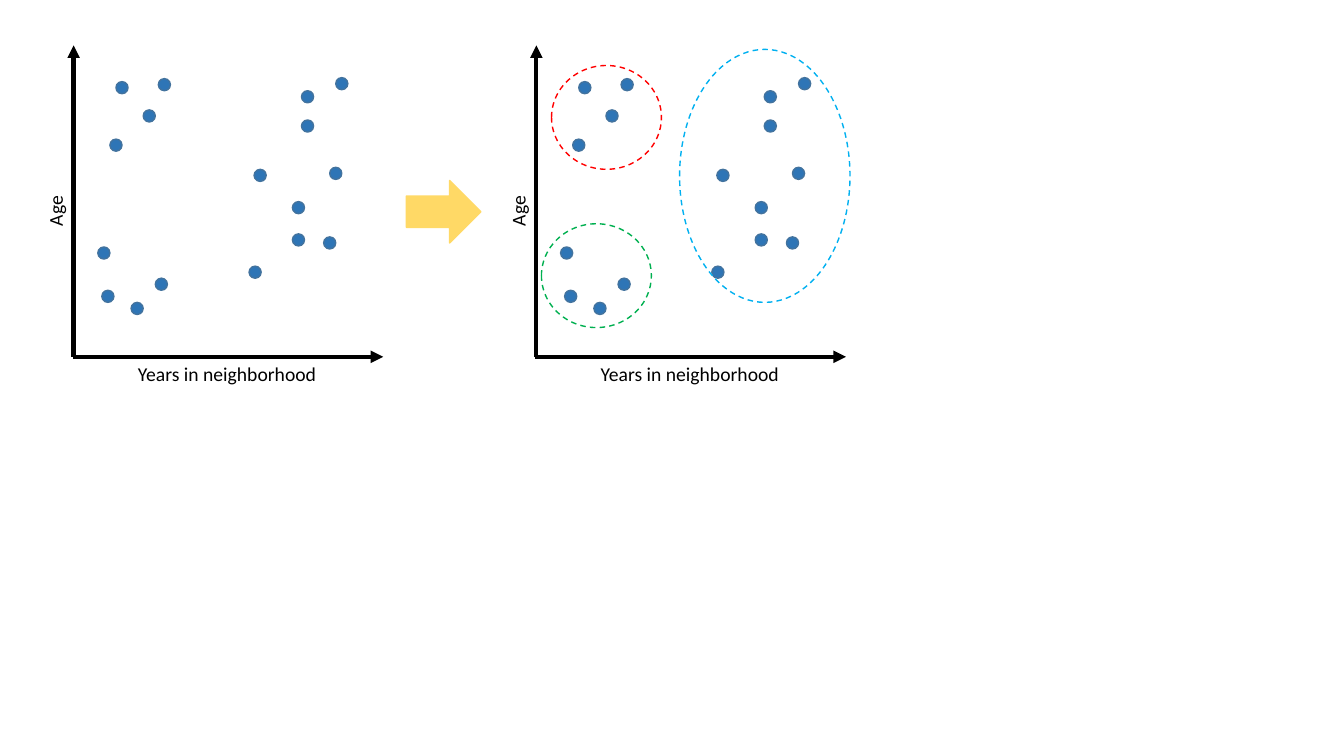
from pptx import Presentation
from pptx.dml.color import RGBColor
from pptx.enum.dml import MSO_LINE
from pptx.enum.shapes import MSO_CONNECTOR, MSO_SHAPE
from pptx.enum.text import MSO_AUTO_SIZE as FIT
from pptx.util import Inches, Pt
from lxml.etree import SubElement
from pptx.oxml.ns import qn

BLACK = RGBColor(0x00, 0x00, 0x00)
BLUE = RGBColor(0x2E, 0x75, 0xB6)
EDGE = RGBColor(0x43, 0x73, 0x9E)
GOLD = RGBColor(0xFF, 0xD9, 0x66)
RED = RGBColor(0xFF, 0x00, 0x00)
GREEN = RGBColor(0x00, 0xB0, 0x50)
SKY = RGBColor(0x00, 0xB0, 0xF0)

DOT = 0.12
WIDE, HIGH = 3.08, 3.09
LEFT, TOP, STEP = 0.72, 0.45, 4.59
FONT = {"name": "Calibri", "size": Pt(14)}
POINTS = [
    (0.43, 0.36), (0.70, 0.64), (0.29, 2.43), (0.58, 2.55), (0.82, 2.31),
    (2.49, 1.90), (1.75, 2.19), (1.80, 1.23), (2.61, 0.32), (2.27, 0.74),
    (2.27, 0.45), (2.55, 1.21), (0.85, 0.33), (2.18, 1.55), (2.18, 1.87),
    (0.37, 0.93), (0.25, 2.00),
]
RINGS = [
    (RED, 0.16, 0.20, 1.09, 1.03),
    (GREEN, 0.06, 1.77, 1.09, 1.03),
    (SKY, 1.43, 0.04, 1.69, 2.51),
]


def add_form(shapes, kind, box, fill, edge):
    form = shapes.add_shape(kind, *map(Inches, box))
    form.shadow.inherit = False
    if fill is None:
        form.fill.background()
    else:
        form.fill.solid()
        form.fill.fore_color.rgb = fill
    form.line.color.rgb = edge
    form.line.width = Pt(1)
    return form


def add_axis(shapes, *ends):
    axis = shapes.add_connector(MSO_CONNECTOR.STRAIGHT, *map(Inches, ends))
    axis.line.color.rgb = BLACK
    axis.line.width = Pt(3)
    SubElement(axis.line._get_or_add_ln(), qn("a:tailEnd"), type="triangle")
    SubElement(axis._element.spPr, qn("a:effectLst"))


def add_label(shapes, text, box, turn=0):
    label = shapes.add_textbox(*map(Inches, box))
    label.rotation = turn
    frame = label.text_frame
    frame.word_wrap = True
    frame.auto_size = FIT.SHAPE_TO_FIT_TEXT
    run = frame.paragraphs[0].add_run()
    run.text = text
    for key, value in FONT.items():
        setattr(run.font, key, value)
    run.font.color.rgb = BLACK


def add_plot(slide, left, top):
    shapes = slide.shapes.add_group_shape().shapes
    base = top + HIGH
    add_axis(shapes, left + 0.01, base, left + 0.01, top)
    add_axis(shapes, left, base, left + WIDE, base)
    add_label(shapes, "Age", (left - 0.52, top + 1.37, 0.7, 0.34), 270)
    add_label(shapes, "Years in neighborhood", (left + 0.55, base, 2, 0.34))
    for x, y in POINTS:
        add_form(shapes, MSO_SHAPE.OVAL, (left + x, top + y, DOT, DOT), BLUE, EDGE)


def add_rings(slide, left, top):
    for color, x, y, width, height in RINGS:
        box = (left + x, top + y, width, height)
        ring = add_form(slide.shapes, MSO_SHAPE.OVAL, box, None, color)
        ring.line.dash_style = MSO_LINE.DASH


def main():
    deck = Presentation()
    deck.slide_width, deck.slide_height = Inches(13.33), Inches(7.5)
    slide = deck.slides.add_slide(deck.slide_layouts[6])
    for start in (LEFT, LEFT + STEP):
        add_plot(slide, start, TOP)
    arrow = (LEFT + 3.31, TOP + 1.34, 0.74, 0.62)
    add_form(slide.shapes, MSO_SHAPE.RIGHT_ARROW, arrow, GOLD, GOLD)
    add_rings(slide, LEFT + STEP, TOP)
    deck.save("out.pptx")


if __name__ == "__main__":
    main()
